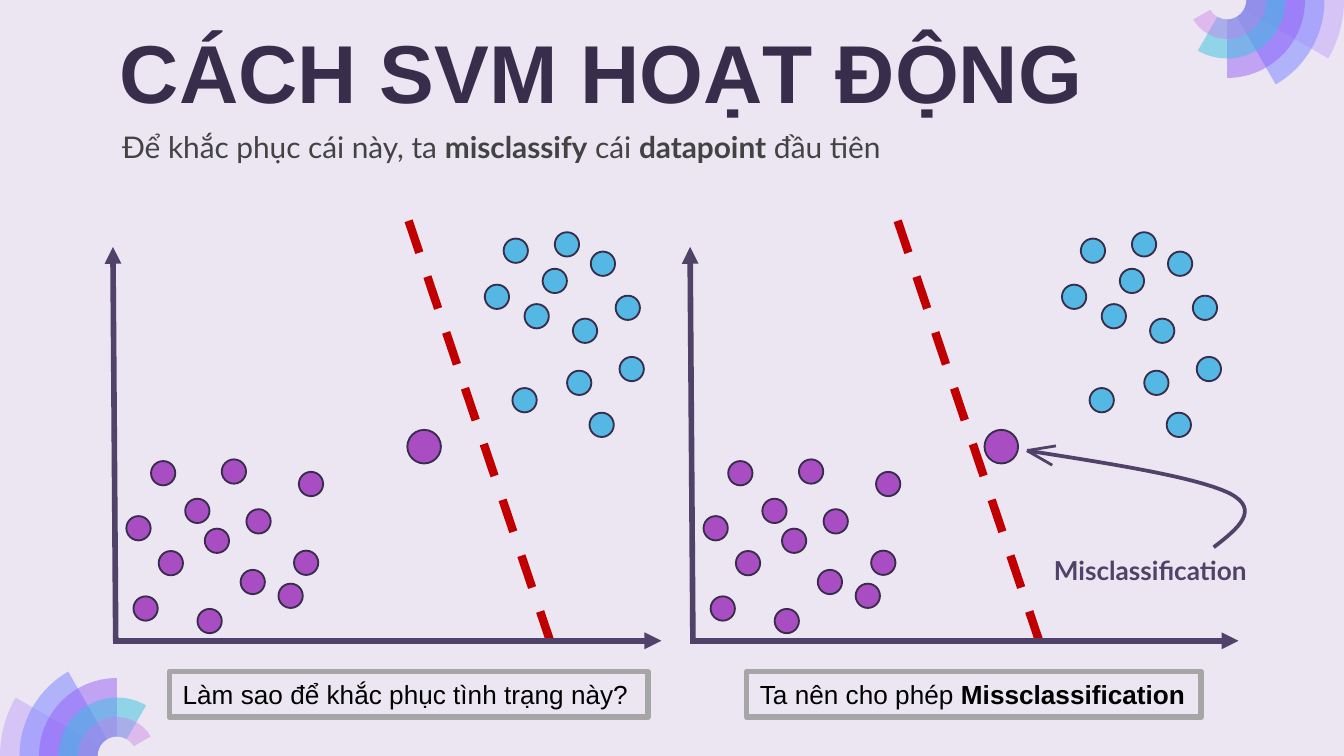
import math
from dataclasses import dataclass

import pptx
import pptx.dml.color
import pptx.enum.dml
import pptx.enum.shapes
import pptx.enum.text
import pptx.util
from lxml import etree
from pptx.oxml.ns import qn

Pt = pptx.util.Pt
Kind = pptx.enum.shapes.MSO_SHAPE
Align = pptx.enum.text.PP_ALIGN
Anchor = pptx.enum.text.MSO_ANCHOR


@dataclass(frozen=True)
class Theme:
    back: str = "EBE6F1"
    ink: str = "382D4B"
    axis: str = "504268"
    body: str = "434343"
    black: str = "000000"
    frame: str = "A6A6A6"
    cut: str = "C00000"
    purple: str = "A94DC2"
    blue: str = "55B8E4"
    # Fan blades from outside to inside: colour, opacity in percent
    blades: tuple = (("C8ACFD", 58), ("878FFF", 58), ("9154F8", 46),
                     ("35C2DF", 49), ("CA7BEB", 42))
    head: int = 44
    lead: int = 16
    note: int = 14
    sans: str = "Arial"
    soft: str = "Lato"


THEME = Theme()

# Dot centres, measured right and up from the corner of the axes
PURPLE = ((17.5, 17.3), (31, 41.6), (13.7, 60.3), (26.9, 89.8), (45.2, 69.6),
          (55.7, 53.6), (74.9, 31.5), (51.8, 10.6), (64.8, 90.7), (78, 64),
          (106.1, 84), (103.5, 41.8), (95.2, 24.1))
BLUE = ((262.5, 202), (275.8, 178.4), (277.9, 145.6), (261.8, 115.7),
        (220.5, 128.9), (252.9, 166.1), (249.8, 138.2), (227, 173.9),
        (236.7, 192.8), (243.2, 212.4), (215.8, 209), (205.7, 184.3))
OUTLIER = (166.7, 104)


def rgb(code):
    return pptx.dml.color.RGBColor.from_string(code)


def paint(shape, fill=None, line=None, width=1):
    shape.shadow.inherit = False
    if fill:
        shape.fill.solid()
        shape.fill.fore_color.rgb = rgb(fill)
    else:
        shape.fill.background()
    if line:
        shape.line.color.rgb = rgb(line)
        shape.line.width = Pt(width)
    else:
        shape.line.fill.background()


def write(frame, parts, size, font, color, bold=False, align=Align.LEFT):
    """Fill one paragraph with runs that switch between plain and bold."""
    frame.word_wrap = True
    para = frame.paragraphs[0]
    para.alignment = align
    for i, part in enumerate(parts):
        run = para.add_run()
        run.text = part
        run.font.size = Pt(size)
        run.font.name = font
        run.font.bold = bold ^ (i % 2 == 1)
        run.font.color.rgb = rgb(color)


def stroke(slide, start, end, color, width, dash=False, arrow=False):
    line = slide.shapes.add_connector(
        pptx.enum.shapes.MSO_CONNECTOR.STRAIGHT, *map(Pt, start + end))
    line.line.color.rgb = rgb(color)
    line.line.width = Pt(width)
    if dash:
        line.line.dash_style = pptx.enum.dml.MSO_LINE.DASH
    if arrow:
        etree.SubElement(line.line._get_or_add_ln(), qn("a:tailEnd"),
                         type="triangle")
    etree.SubElement(line._element.spPr, qn("a:effectLst"))


def trace(slide, start, parts, close):
    """Outline from parts: one point is a line, three points are a curve."""
    points = [(Pt(x), Pt(y)) for part in parts for x, y in part]
    path = slide.shapes.build_freeform(*map(Pt, start))
    path.add_line_segments(points, close=close)
    shape = path.convert_to_shape()
    legs = iter(list(shape._element.iter(qn("a:lnTo"))))
    for part in parts:
        leg = next(legs)
        if len(part) == 3:
            leg.addprevious(curve := etree.Element(qn("a:cubicBezTo")))
            for piece in (leg, next(legs), next(legs)):
                curve.append(piece[0])
                piece.getparent().remove(piece)
    return shape


def arc(x, y, radius, turns):
    """Curves through the given angles on a circle."""
    def spot(turn, pull=0):
        t = math.radians(turn)
        return (x + radius * (math.cos(t) - pull * math.sin(t)),
                y + radius * (math.sin(t) + pull * math.cos(t)))

    parts = []
    for a, b in zip(turns, turns[1:]):
        pull = 4 / 3 * math.tan(math.radians(b - a) / 4)
        parts.append((spot(a, pull), spot(b, -pull), spot(b)))
    return spot(turns[0]), parts


def fan(slide, x, y, first):
    """Five overlapping ring blades, each shorter and 30 degrees wider."""
    step = 10.44
    for i, (color, alpha) in enumerate(THEME.blades, 1):
        turns = [first, first + min(30 * i, 90)]
        if i > 3:
            turns.append(first + 30 * i)
        start, rim = arc(x, y, step * (7 - i), turns)
        inner, hub = arc(x, y, step, turns[::-1])
        blade = trace(slide, start, rim + [(inner,)] + hub, True)
        paint(blade, color)
        tint = blade._element.spPr.find(qn("a:solidFill"))[0]
        etree.SubElement(tint, qn("a:alpha"), val=str(alpha * 1000))


def heading(slide, left, top, width, height):
    title = slide.shapes.title
    title.left, title.top, title.width, title.height = map(
        Pt, (left, top, width, height))
    frame = title.text_frame
    frame.auto_size = pptx.enum.text.MSO_AUTO_SIZE.NONE
    frame.vertical_anchor = Anchor.TOP
    frame.margin_top = frame.margin_bottom = Pt(7.2)
    write(frame, ("CÁCH SVM HOẠT ĐỘNG",), THEME.head, THEME.sans, THEME.ink,
          bold=True)


def label(slide, box, parts, size, color, **style):
    text = slide.shapes.add_textbox(*map(Pt, box))
    write(text.text_frame, parts, size, THEME.soft, color, **style)


def caption(slide, box, parts):
    shape = slide.shapes.add_shape(Kind.RECTANGLE, *map(Pt, box))
    paint(shape, line=THEME.frame, width=3)
    shape.text_frame.margin_right = 0
    shape.text_frame.vertical_anchor = Anchor.MIDDLE
    write(shape.text_frame, parts, THEME.note, THEME.sans, THEME.black)


def plot(slide, left, top, width, height, cut):
    """Axes, dots and a dashed border that starts at cut from the left."""
    base = top + height

    def dot(spot, size, color):
        x, up = spot
        shape = slide.shapes.add_shape(
            Kind.OVAL, Pt(left + x - size / 2), Pt(base - up - size / 2),
            Pt(size), Pt(size))
        paint(shape, color, THEME.ink)

    stroke(slide, (left + cut, base - 225), (left + cut + 75.6, base - 0.5),
           THEME.cut, 4.5, dash=True)
    stroke(slide, (left + 1.5, base), (left, top), THEME.axis, 3, arrow=True)
    stroke(slide, (left, base), (left + width, base), THEME.axis, 3,
           arrow=True)
    for spots, color in ((PURPLE, THEME.purple), (BLUE, THEME.blue)):
        for spot in spots:
            dot(spot, 13, color)
    dot(OUTLIER, 18, THEME.purple)


def pointer(slide, x, y, width):
    """Curved arrow with its tip at x, y."""
    def shift(*spots):
        return tuple((x + dx, y + dy) for dx, dy in spots)

    start, = shift((100, 51.8))
    parts = (shift((113, 41.8), (125.3, 31.7), (108.7, 23)),
             shift((91.4, 14.4), (46.1, 7.2), (0, 0)))
    curve = trace(slide, start, parts, False)
    paint(curve, line=THEME.axis, width=2)
    # The box hugs the line, not its control points
    curve.width = Pt(width)
    next(curve._element.iter(qn("a:path"))).set("w", str(Pt(width)))
    for barb in shift((15.5, -2.5), (13.5, 7.8)):
        stroke(slide, barb, (x, y), THEME.axis, 1.5)


def main():
    deck = pptx.Presentation()
    deck.slide_width, deck.slide_height = Pt(720), Pt(405)
    slide = deck.slides.add_slide(deck.slide_layouts[5])
    slide.background.fill.solid()
    slide.background.fill.fore_color.rgb = rgb(THEME.back)

    fan(slide, 62.64, 405, 180)
    fan(slide, 657.36, 0, 0)
    heading(slide, 57, 4.3, 607, 45.4)
    label(slide, (58.3, 65.5, 577.5, 26.6),
          ("Để khắc phục cái này, ta ", "misclassify", " cái ", "datapoint",
           " đầu tiên"), THEME.lead, THEME.body, align=Align.JUSTIFY)

    notes = (("Làm sao để khắc phục tình trạng này?",),
             ("Ta nên cho phép ", "Missclassification"))
    for i, (cut, wide, note) in enumerate(zip((158.4, 111.2), (256.3, 243.4),
                                              notes)):
        left = 60.5 + 309.2 * i
        plot(slide, left, 132.3, 293.8, 211, cut)
        caption(slide, (left + 30.3, 359.8, wide, 24.5), note)

    label(slide, (557.5, 293.4, 156.2, 24.5), ("Misclassification",),
          THEME.note, THEME.axis, bold=True)
    pointer(slide, 550.2, 241.4, 116.6)
    deck.save("out.pptx")


if __name__ == "__main__":
    main()
